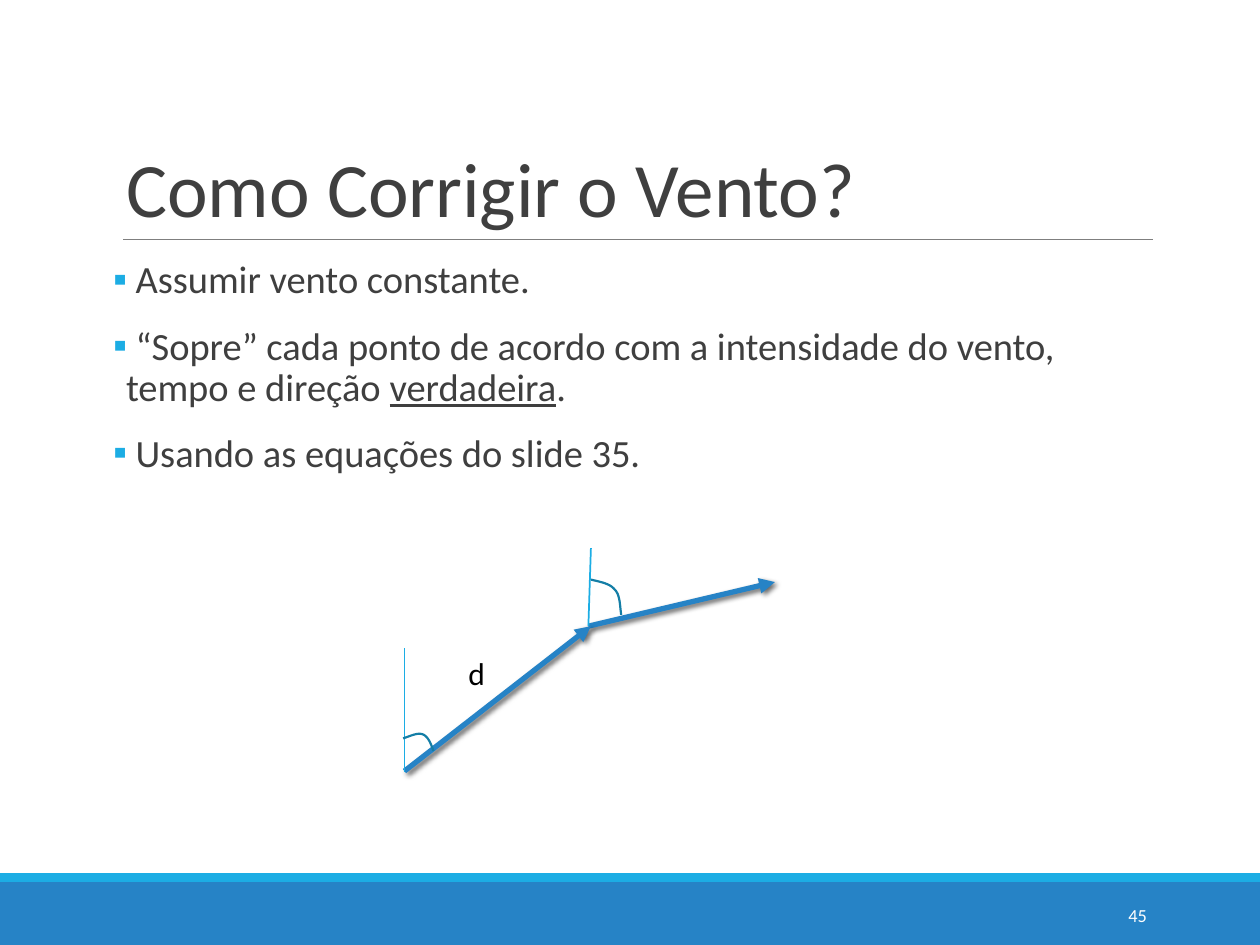
from dataclasses import dataclass

from lxml.etree import SubElement
from pptx import Presentation
from pptx.dml.color import RGBColor
from pptx.enum.shapes import MSO_CONNECTOR, MSO_SHAPE
from pptx.enum.text import MSO_ANCHOR, PP_ALIGN
from pptx.oxml.ns import qn
from pptx.util import Inches, Pt

COLORS = {
    "band": "2683C6",
    "accent": "1CADE4",
    "rule": "7F7F7F",
    "text": "3F3F3F",
    "angle": "147EA6",
    "white": "FFFFFF",
    "black": "000000",
}
FONT = "Calibri"
Point = tuple[float, float]


@dataclass
class Band:
    top: float
    height: float
    color: str


@dataclass
class Segment:
    start: Point
    end: Point
    color: str
    width: float
    is_leg: bool = False


@dataclass
class AngleArc:
    """Chain of cubic curves: a start, then three points for each curve."""
    points: list[Point]


BANDS = [Band(7, 0.5, "band"), Band(6.93, 0.07, "accent")]
TITLE_RULE = Segment((0.98, 1.9), (9.15, 1.9), "rule", 0.75)
ROUTE = [
    Segment((4.67, 4.97), (6.15, 4.62), "band", 3, is_leg=True),
    Segment((4.67, 4.97), (4.69, 4.35), "accent", 1),
    Segment((3.21, 6.12), (4.69, 4.97), "band", 3, is_leg=True),
    Segment((3.21, 6.13), (3.21, 5.14), "accent", 1),
]
ARCS = [
    AngleArc([(3.44, 5.96), (3.42, 5.9), (3.4, 5.85), (3.36, 5.83),
              (3.32, 5.81), (3.26, 5.84), (3.2, 5.86)]),
    AngleArc([(4.93, 4.88), (4.92, 4.8), (4.92, 4.72), (4.88, 4.68),
              (4.84, 4.63), (4.77, 4.62), (4.69, 4.6)]),
]
# Each bullet is a list of (text, underlined) runs.
BULLETS = [
    [(" Assumir vento constante.", False)],
    [(" “Sopre” cada ponto de acordo com a intensidade do vento, tempo e direção ", False),
     ("verdadeira", True), (".", False)],
    [(" Usando as equações do slide 35.", False)],
]


def rgb(name: str) -> RGBColor:
    return RGBColor.from_string(COLORS[name])


def place(shape, left: float, top: float, width: float, height: float) -> None:
    shape.left, shape.top = Inches(left), Inches(top)
    shape.width, shape.height = Inches(width), Inches(height)


def write(paragraph, text: str, *, size: float, color: str = "text",
          align=PP_ALIGN.LEFT, line_spacing: float = 1.0, underline: bool = False) -> None:
    paragraph.alignment = align
    paragraph.line_spacing = line_spacing
    run = paragraph.add_run()
    run.text = text
    run.font.name = FONT
    run.font.size = Pt(size)
    run.font.color.rgb = rgb(color)
    if underline:
        run.font.underline = True


def add_text_frame(slide, left: float, top: float, width: float, height: float,
                   anchor=MSO_ANCHOR.TOP):
    box = slide.shapes.add_textbox(Inches(left), Inches(top), Inches(width), Inches(height))
    frame = box.text_frame
    frame.word_wrap = True
    frame.vertical_anchor = anchor
    return frame


def add_bullet_mark(paragraph) -> None:
    properties = paragraph._p.get_or_add_pPr()
    properties.set("marL", str(Inches(0.1)))
    properties.set("indent", str(Inches(-0.1)))
    mark_color = SubElement(properties, qn("a:buClr"))
    SubElement(mark_color, qn("a:srgbClr"), val=COLORS["accent"])
    SubElement(properties, qn("a:buFont"), typeface=FONT)
    SubElement(properties, qn("a:buChar"), char="▪")


def add_band(slide, band: Band) -> None:
    shape = slide.shapes.add_shape(MSO_SHAPE.RECTANGLE, 0, Inches(band.top),
                                   Inches(10), Inches(band.height))
    shape.shadow.inherit = False
    shape.fill.solid()
    shape.fill.fore_color.rgb = rgb(band.color)
    shape.line.fill.background()


def add_segment(slide, segment: Segment) -> None:
    """Draw a line; a leg of the route also gets an arrowhead and a shadow."""
    ends = [Inches(value) for value in (*segment.start, *segment.end)]
    connector = slide.shapes.add_connector(MSO_CONNECTOR.STRAIGHT, *ends)
    connector.line.width = Pt(segment.width)
    connector.line.color.rgb = rgb(segment.color)
    effects = SubElement(connector._element.spPr, qn("a:effectLst"))
    if segment.is_leg:
        SubElement(connector.line._get_or_add_ln(), qn("a:tailEnd"), type="triangle")
        shadow = SubElement(effects, qn("a:outerShdw"), blurRad=str(Pt(3)),
                            dist=str(Pt(2)), dir=str(45 * 60000), rotWithShape="0")
        shade = SubElement(shadow, qn("a:srgbClr"), val=COLORS["black"])
        SubElement(shade, qn("a:alpha"), val="60000")


def curve_points(curve: list[Point], steps: int = 12) -> list[Point]:
    """Points along one cubic curve, without its start."""
    points = []
    for step in range(1, steps + 1):
        t = step / steps
        weights = ((1 - t) ** 3, 3 * t * (1 - t) ** 2, 3 * t ** 2 * (1 - t), t ** 3)
        points.append(tuple(sum(w * p[axis] for w, p in zip(weights, curve))
                            for axis in (0, 1)))
    return points


def add_arc(slide, arc: AngleArc) -> None:
    start_x, start_y = arc.points[0]
    builder = slide.shapes.build_freeform(Inches(start_x), Inches(start_y))
    for first in range(0, len(arc.points) - 1, 3):
        points = curve_points(arc.points[first:first + 4])
        builder.add_line_segments([(Inches(x), Inches(y)) for x, y in points], close=False)
    shape = builder.convert_to_shape()
    shape.shadow.inherit = False
    shape.fill.background()
    shape.line.color.rgb = rgb("angle")
    shape.line.width = Pt(1.25)


def add_title(slide, text: str) -> None:
    title = slide.shapes.title
    place(title, 0.9, 0.31, 8.25, 1.59)
    title.text_frame.vertical_anchor = MSO_ANCHOR.BOTTOM
    write(title.text_frame.paragraphs[0], text, size=44, line_spacing=0.85)


def add_bullets(slide) -> None:
    frame = add_text_frame(slide, 0.9, 2.02, 8.25, 4.88)
    frame.margin_left = frame.margin_right = 0
    for index, runs in enumerate(BULLETS):
        paragraph = frame.add_paragraph() if index else frame.paragraphs[0]
        add_bullet_mark(paragraph)
        if index:
            paragraph.space_before = Pt(14)
        for text, underline in runs:
            write(paragraph, text, size=22, line_spacing=0.9, underline=underline)


def main() -> None:
    presentation = Presentation()
    presentation.slide_width, presentation.slide_height = Inches(10), Inches(7.5)
    slide = presentation.slides.add_slide(presentation.slide_layouts[5])

    for band in BANDS:
        add_band(slide, band)
    add_segment(slide, TITLE_RULE)
    add_title(slide, "Como Corrigir o Vento?")
    add_bullets(slide)
    page_number = add_text_frame(slide, 8.12, 7.06, 1.08, 0.4, MSO_ANCHOR.MIDDLE)
    write(page_number.paragraphs[0], "45", size=10.5, color="white", align=PP_ALIGN.RIGHT)

    for segment in ROUTE:
        add_segment(slide, segment)
    distance = add_text_frame(slide, 3.62, 5.14, 0.34, 0.4)
    write(distance.paragraphs[0], "d", size=18, color="black")
    for arc in ARCS:
        add_arc(slide, arc)

    presentation.save("out.pptx")


if __name__ == "__main__":
    main()
